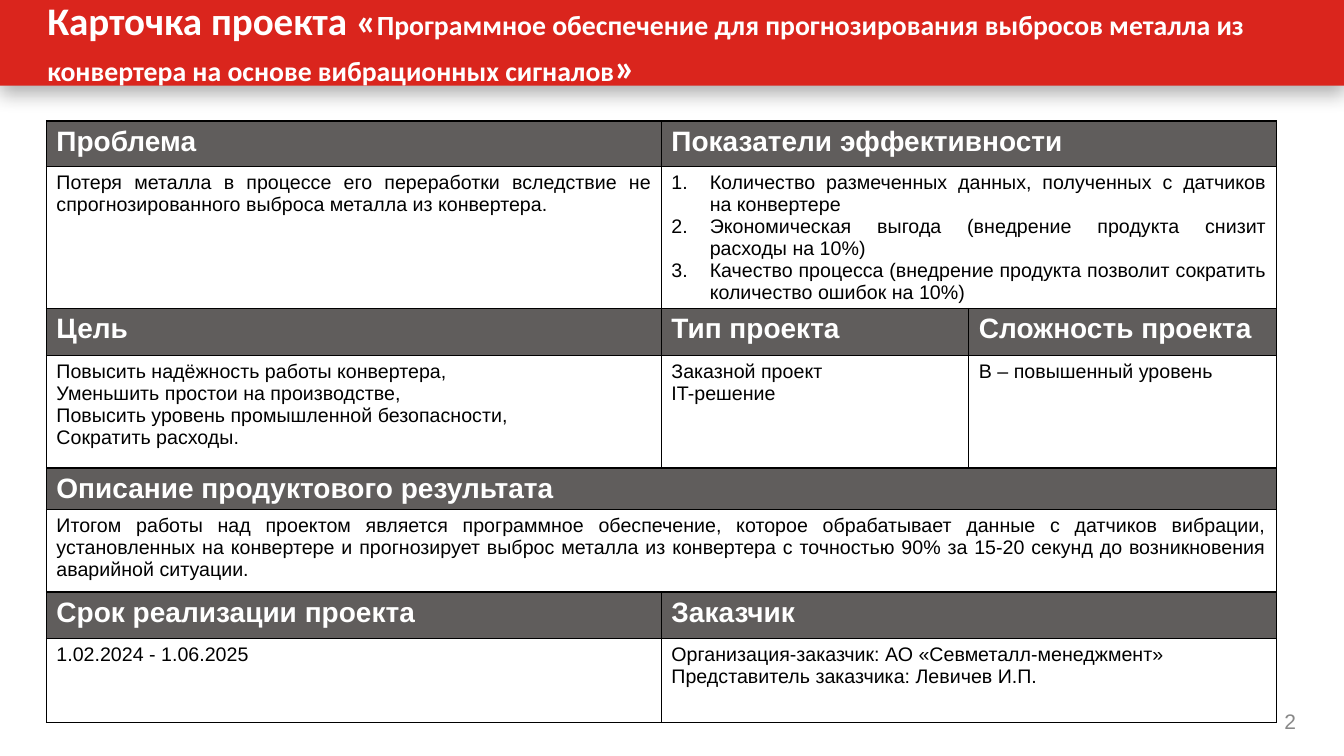
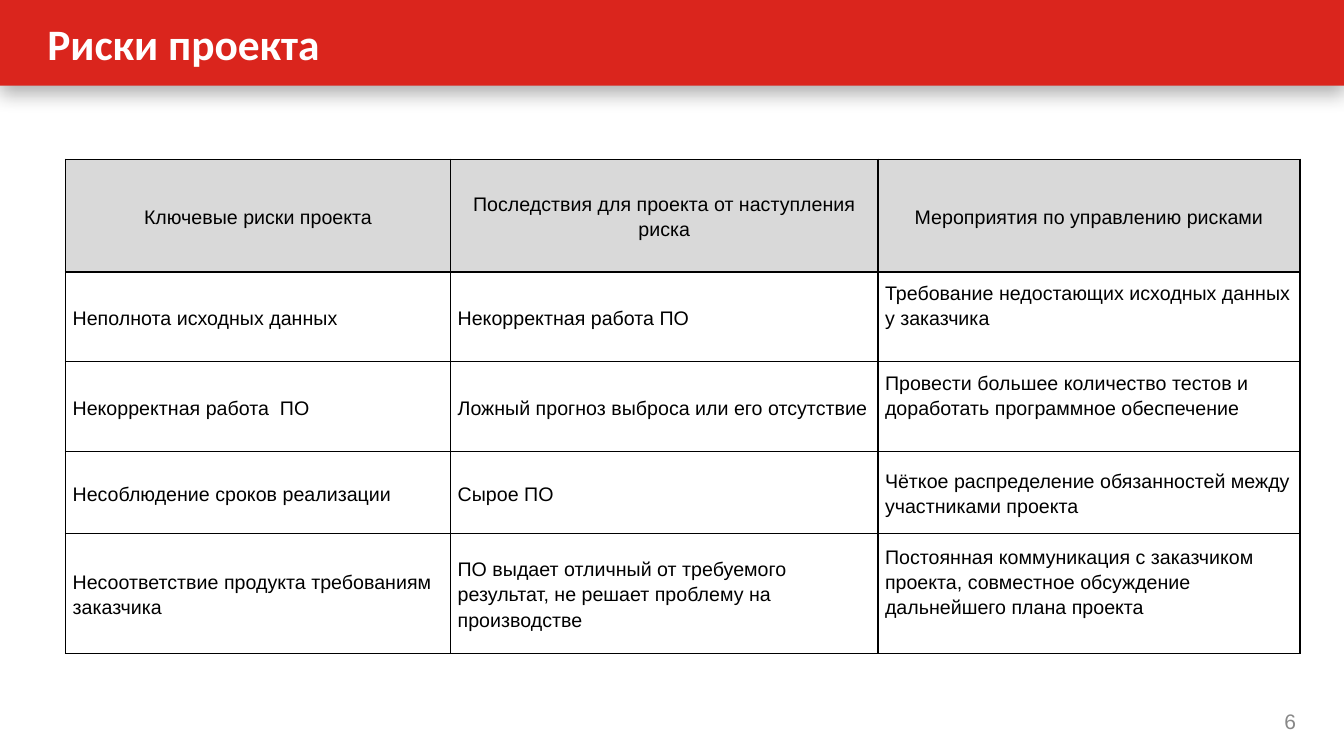
from lxml import etree
from pptx import Presentation
from pptx.dml.color import RGBColor
from pptx.enum.shapes import MSO_SHAPE
from pptx.enum.text import MSO_ANCHOR, MSO_AUTO_SIZE, PP_ALIGN
from pptx.oxml import parse_xml
from pptx.oxml.ns import qn
from pptx.util import Inches, Pt

RECT = MSO_SHAPE.RECTANGLE
TOP, MIDDLE = MSO_ANCHOR.TOP, MSO_ANCHOR.MIDDLE
LEFT, CENTER, RIGHT, JUSTIFY = PP_ALIGN.LEFT, PP_ALIGN.CENTER, PP_ALIGN.RIGHT, PP_ALIGN.JUSTIFY
NO_FIT = MSO_AUTO_SIZE.NONE

RED = RGBColor(0xDA, 0x25, 0x1D)
DARK = RGBColor(0x60, 0x5D, 0x5C)
LIGHT = RGBColor(0xD9, 0xD9, 0xD9)
GREY = RGBColor(0x88, 0x88, 0x88)
WHITE = RGBColor(0xFF, 0xFF, 0xFF)
BLACK = RGBColor(0x00, 0x00, 0x00)

W, H = Inches(13.33), Inches(7.5)
BAND_H = 11.33
TITLE_BOX = (2.55, 0, 91.2, BAND_H)
NUMBER_BOX = (91.2, 92.7, 6.2, 5.3)
BAND_INSETS = (0.13, 0.06, 0.13, 0.06)

TITLE = {"name": "Calibri", "bold": True, "color": WHITE}
NUMBER = {"name": "Arial", "size": 15, "color": GREY}
TEXT = {"name": "Arial", "size": 14, "color": BLACK, "bold": False}
HEADING = {"name": "Arial", "size": 20, "color": WHITE, "bold": True}

CARD_INSETS = (0.1, 0.05, 0.1, 0.05)
CARD_HEAD = {"font": HEADING, "fill": DARK, "anchor": TOP, "insets": CARD_INSETS}
CARD_BODY = {"font": TEXT, "fill": WHITE, "anchor": TOP, "insets": CARD_INSETS, "align": JUSTIFY}
RISK_BODY = {"font": TEXT, "anchor": MIDDLE, "insets": (0.07, 0, 0.07, 0), "spacing": 1.15}
RISK_HEAD = {**RISK_BODY, "fill": LIGHT, "align": CENTER}
RISK_RAISED = {**RISK_BODY, "insets": (0.07, 0, 0.07, 0.25)}

CARD_COLS = (45.76, 22.88, 22.88)
CARD_ROWS = (6, 18.8, 6.2, 14.9, 5.5, 10.9, 6.2, 11.1)
CARD = [
    ["Проблема", "Показатели эффективности"],
    ["Потеря металла в процессе его переработки вследствие не спрогнозированного "
     "выброса металла из конвертера.",
     ["Количество размеченных данных, полученных с датчиков на конвертере",
      "Экономическая выгода (внедрение продукта снизит расходы на 10%)",
      "Качество процесса (внедрение продукта позволит сократить количество ошибок на 10%)"]],
    ["Цель", "Тип проекта", "Сложность проекта"],
    ["Повысить надёжность работы конвертера,\nУменьшить простои на производстве,\n"
     "Повысить уровень промышленной безопасности,\nСократить расходы.",
     "Заказной проект\nIT-решение", "В – повышенный уровень"],
    ["Описание продуктового результата"],
    ["Итогом работы над проектом является программное обеспечение, которое обрабатывает "
     "данные с датчиков вибрации, установленных на конвертере и прогнозирует выброс металла "
     "из конвертера с точностью 90% за 15-20 секунд до возникновения аварийной ситуации."],
    ["Срок реализации проекта", "Заказчик"],
    ["1.02.2024 - 1.06.2025",
     "Организация-заказчик: АО «Севметалл-менеджмент»\nПредставитель заказчика: Левичев И.П."],
]

RISK_COLS = (28.65, 31.8, 31.4)
RISK_ROWS = (14.9, 11.9, 11.9, 10.8, 15.9)
RISKS = [
    ["Ключевые риски проекта", "Последствия для проекта от наступления риска",
     "Мероприятия по управлению рисками"],
    ["Неполнота исходных данных", "Некорректная работа ПО",
     "Требование недостающих исходных данных у заказчика"],
    ["Некорректная работа  ПО", "Ложный прогноз выброса или его отсутствие",
     "Провести большее количество тестов и доработать программное обеспечение"],
    ["Несоблюдение сроков реализации", "Сырое ПО",
     "Чёткое распределение обязанностей между\nучастниками проекта"],
    ["Несоответствие продукта требованиям заказчика",
     "ПО выдает отличный от требуемого результат, не решает проблему на производстве",
     "Постоянная коммуникация с заказчиком проекта, совместное обсуждение "
     "дальнейшего плана проекта"],
]

NS = 'xmlns:a="http://schemas.openxmlformats.org/drawingml/2006/main"'
SHADOW = (f'<a:effectLst {NS}><a:outerShdw blurRad="{Pt(14)}" dist="{Pt(5)}" dir="5400000" '
          'rotWithShape="0"><a:srgbClr val="000000"><a:alpha val="31000"/></a:srgbClr>'
          '</a:outerShdw></a:effectLst>')


def pct_x(share):
    """Return a percentage of the slide width."""
    return int(W * share / 100)


def pct_y(share):
    """Return a percentage of the slide height."""
    return int(H * share / 100)


def box(x, y, w, h):
    """Turn percentages into left, top, width and height."""
    return pct_x(x), pct_y(y), pct_x(w), pct_y(h)


def add_run(p, text, fmt):
    """Add a run formatted from a dict."""
    r = p.add_run()
    r.text = text
    for key, value in fmt.items():
        if key == "color":
            r.font.color.rgb = value
        else:
            setattr(r.font, key, Pt(value) if key == "size" else value)


def set_insets(target, insets):
    """Set the four margins of a text frame or cell."""
    for side, value in zip(("left", "top", "right", "bottom"), insets):
        setattr(target, f"margin_{side}", Inches(value))


def format_frame(tf, insets):
    """Set up a wrapped, vertically centred text frame."""
    for key, value in {"word_wrap": True, "auto_size": NO_FIT, "vertical_anchor": MIDDLE}.items():
        setattr(tf, key, value)
    set_insets(tf, insets)


def number_paragraph(p):
    """Make a paragraph part of a numbered list."""
    pPr = p._p.get_or_add_pPr()
    pPr.set("marL", str(Inches(0.38)))
    pPr.set("indent", str(-Inches(0.38)))
    etree.SubElement(pPr, qn("a:buFont"), typeface="+mj-lt")
    etree.SubElement(pPr, qn("a:buAutoNum"), type="arabicPeriod")


def set_borders(cell):
    """Draw thin black lines on all sides of a cell."""
    tcPr = cell._tc.get_or_add_tcPr()
    for side in ("lnL", "lnR", "lnT", "lnB"):
        tcPr.append(parse_xml(f'<a:{side} {NS} w="{Pt(1)}"><a:solidFill>'
                              f'<a:srgbClr val="{BLACK}"/></a:solidFill></a:{side}>'))


def fill_cell(cell, content, style):
    """Write text or a numbered list into a cell."""
    numbered = isinstance(content, list)
    tf = cell.text_frame
    for i, line in enumerate(content if numbered else content.split("\n")):
        p = tf.add_paragraph() if i else tf.paragraphs[0]
        p.alignment = style.get("align", LEFT)
        p.line_spacing = style.get("spacing")
        if numbered:
            number_paragraph(p)
        add_run(p, line, style["font"])
    cell.vertical_anchor = style["anchor"]
    set_insets(cell, style["insets"])


def add_grid(s, x, y, cols, rows, data, style_at):
    """Add a table whose last cell in each row reaches the right edge."""
    frame = s.shapes.add_table(len(rows), len(cols), *box(x, y, sum(cols), sum(rows)))
    table = frame.table
    table.first_row = table.horz_banding = False
    for col, share in zip(table.columns, cols):
        col.width = pct_x(share)
    for r, (share, contents) in enumerate(zip(rows, data)):
        table.rows[r].height = pct_y(share)
        for c in range(len(cols)):
            cell = table.cell(r, c)
            set_borders(cell)
            fill = style_at(r, c).get("fill")
            if fill is None:
                cell.fill.background()
            else:
                cell.fill.solid()
                cell.fill.fore_color.rgb = fill
        last = len(contents) - 1
        if last < len(cols) - 1:
            table.cell(r, last).merge(table.cell(r, len(cols) - 1))
        for c, content in enumerate(contents):
            fill_cell(table.cell(r, c), content, style_at(r, c))


def add_band(layout, s):
    """Put the shadowed red band on the layout and place its title."""
    sp = s.shapes.add_shape(RECT, *box(0, 0, 100, BAND_H))
    sp.fill.solid()
    sp.fill.fore_color.rgb = RED
    sp.line.fill.background()
    sp._element.spPr.append(parse_xml(SHADOW))
    layout.shapes.element.insert(2, sp._element)
    title = layout.placeholders[0]
    title.left, title.top, title.width, title.height = box(*TITLE_BOX)


def add_slide(prs, layout, title_runs, number):
    """Add a slide with its title and page number."""
    s = prs.slides.add_slide(layout)
    tf = s.shapes.title.text_frame
    format_frame(tf, BAND_INSETS)
    p = tf.paragraphs[0]
    p.alignment = LEFT
    for text, size in title_runs:
        add_run(p, text, {**TITLE, "size": size})
    tf = s.shapes.add_textbox(*box(*NUMBER_BOX)).text_frame
    format_frame(tf, BAND_INSETS)
    p = tf.paragraphs[0]
    p.alignment = RIGHT
    add_run(p, number, NUMBER)
    return s


def card_style(row, col):
    """Alternate heading and body rows."""
    return CARD_BODY if row % 2 else CARD_HEAD


def risk_style(row, col):
    """Pick the style of a risk table cell."""
    if row == 0:
        return RISK_HEAD
    return RISK_RAISED if col == 2 and row != 3 else RISK_BODY


def main():
    """Build and save the presentation."""
    prs = Presentation()
    prs.slide_width, prs.slide_height = W, H
    layout = prs.slide_layouts[5]
    s = add_slide(prs, layout, [
        ("Карточка проекта «", 27.9),
        ("Программное обеспечение для прогнозирования выбросов металла из конвертера "
         "на основе вибрационных сигналов", 19.8),
        ("»", 27.9)], "2")
    add_band(layout, s)
    add_grid(s, 3.45, 16, CARD_COLS, CARD_ROWS, CARD, card_style)
    s = add_slide(prs, layout, [("Риски проекта", 31)], "6")
    add_grid(s, 4.88, 21.07, RISK_COLS, RISK_ROWS, RISKS, risk_style)
    prs.save("out.pptx")


if __name__ == "__main__":
    main()
